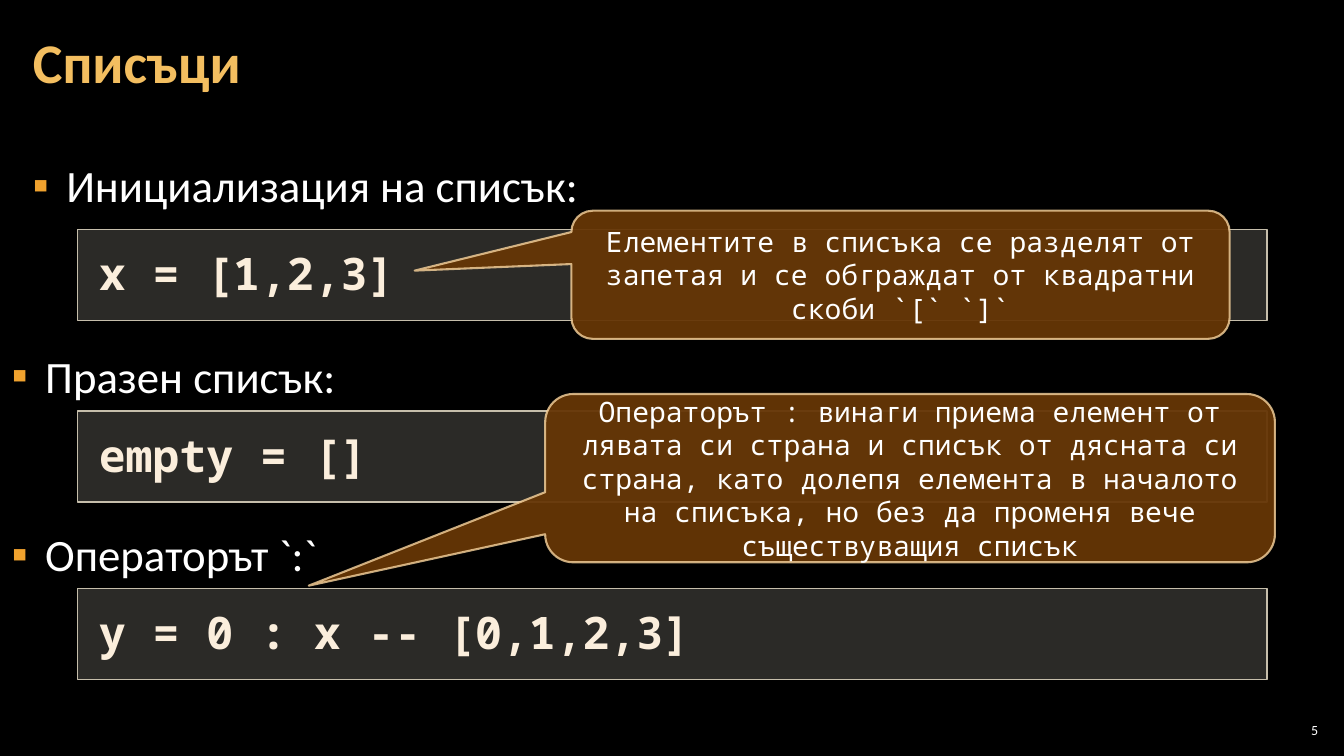
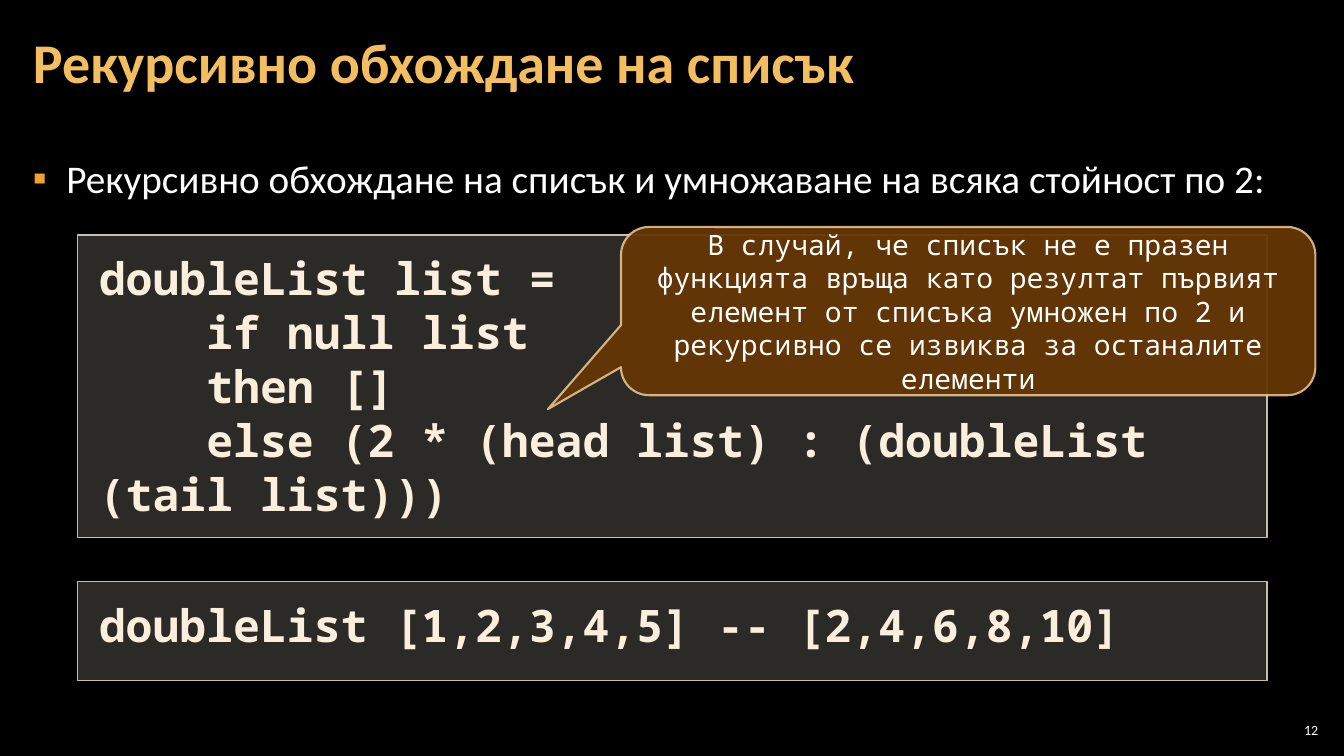
import pptx
import pptx.dml.color
import pptx.enum.shapes
import pptx.enum.text
import pptx.oxml
import pptx.oxml.ns
import pptx.util

Cm = pptx.util.Cm
Pt = pptx.util.Pt
qn = pptx.oxml.ns.qn
ALIGN = pptx.enum.text.PP_ALIGN
ANCHOR = pptx.enum.text.MSO_ANCHOR
SHAPE = pptx.enum.shapes.MSO_SHAPE

COLORS = {
    "background": "000000",
    "title": "F3BE60",
    "text": "FFFFFF",
    "bullet": "F0A22E",
    "code": "FBEEDC",
    "code_fill": "D9D4C6",
    "code_line": "C6BEAB",
    "callout_fill": "663606",
    "callout_line": "F8D49E",
}
TEXT_FONT = "Calibri"
CODE_FONT = "Noto Sans Mono"

TITLE_BOX = (0.53, 0.1, 32.79, 3.07)
BODY_BOX = (0.53, 3.2, 32.79, 15.47)
NUMBER_BOX = (32.13, 18.14, 1.19, 0.53)
CODE_LEFT, CODE_WIDTH = 1.96, 29.97
TEXT_INSET = (0.3, 0.1)
BULLET_INDENT = 0.84


def rgb(name):
    return pptx.dml.color.RGBColor.from_string(COLORS[name])


def place(shape, box):
    shape.left, shape.top, shape.width, shape.height = map(Cm, box)


def add_text_box(slide, box):
    return slide.shapes.add_textbox(*map(Cm, box))


def write(shape, text, size, color, font=TEXT_FONT, bold=False,
          align=ALIGN.LEFT, anchor=ANCHOR.TOP, inset=TEXT_INSET):
    frame = shape.text_frame
    frame.text = text
    frame.word_wrap = True
    frame.auto_size = pptx.enum.text.MSO_AUTO_SIZE.NONE
    frame.vertical_anchor = anchor
    frame.margin_left = frame.margin_right = Cm(inset[0])
    frame.margin_top = frame.margin_bottom = Cm(inset[1])
    for paragraph in frame.paragraphs:
        paragraph.alignment = align
        for run in paragraph.runs:
            run.font.name = font
            run.font.size = Pt(size)
            run.font.bold = bold
            run.font.color.rgb = rgb(color)


def set_opacity(properties, percent):
    color = properties.find(qn("a:solidFill"))[0]
    alpha = pptx.oxml.parse_xml(
        f'<a:alpha {pptx.oxml.ns.nsdecls("a")} val="{percent * 1000}"/>')
    color.append(alpha)


def add_panel(slide, preset, box, fill, fill_opacity, line, line_width):
    panel = slide.shapes.add_shape(preset, *map(Cm, box))
    panel.shadow.inherit = False
    panel.fill.solid()
    panel.fill.fore_color.rgb = rgb(fill)
    panel.line.color.rgb = rgb(line)
    panel.line.width = Pt(line_width)
    set_opacity(panel._element.spPr, fill_opacity)
    return panel


def add_code(slide, top, height, code):
    panel = add_panel(slide, SHAPE.RECTANGLE, (CODE_LEFT, top, CODE_WIDTH, height),
                      "code_fill", 20, "code_line", 1)
    write(panel, code, 32, "code", CODE_FONT, bold=True, inset=(0.53, 0.41))


def add_callout(slide, box, tip, explanation):
    left, top, width, height = box
    callout = add_panel(slide, SHAPE.ROUNDED_RECTANGULAR_CALLOUT, box,
                        "callout_fill", 95, "callout_line", 1.5)
    callout.adjustments[0] = (tip[0] - left) / width - 0.5
    callout.adjustments[1] = (tip[1] - top) / height - 0.5
    set_opacity(callout._element.spPr.find(qn("a:ln")), 80)
    write(callout, explanation, 20, "text", CODE_FONT, align=ALIGN.CENTER,
          anchor=ANCHOR.MIDDLE, inset=(0.33, 0.18))


def write_bullet(shape, text, size):
    write(shape, text, size, "text", align=ALIGN.JUSTIFY)
    paragraph = shape.text_frame.paragraphs[0]
    properties = paragraph._p.get_or_add_pPr()
    properties.set("marL", str(Cm(BULLET_INDENT)))
    properties.set("indent", str(-Cm(BULLET_INDENT)))
    namespace = pptx.oxml.ns.nsdecls("a")
    for element in (
        f'<a:buClr {namespace}><a:srgbClr val="{COLORS["bullet"]}"/></a:buClr>',
        f'<a:buFont {namespace} typeface="{TEXT_FONT}"/>',
        f'<a:buChar {namespace} char="▪"/>',
    ):
        properties.append(pptx.oxml.parse_xml(element))
    paragraph.line_spacing = 1.5
    paragraph.space_before = Pt(0)
    paragraph.space_after = Pt(6)


def add_bullet(slide, top, text):
    write_bullet(add_text_box(slide, (0, top, 31.55, 1.52)), text, 32)


def add_topic_slide(deck, number, title, topic, topic_size):
    slide = deck.slides.add_slide(deck.slide_layouts[1])
    heading, body = slide.shapes.title, slide.placeholders[1]
    place(heading, TITLE_BOX)
    write(heading, title, 40, "title", bold=True, anchor=ANCHOR.MIDDLE)
    heading.text_frame.paragraphs[0].line_spacing = 0.9
    place(body, BODY_BOX)
    write_bullet(body, topic, topic_size)
    write(add_text_box(slide, NUMBER_BOX), str(number), 10, "text",
          align=ALIGN.RIGHT, anchor=ANCHOR.MIDDLE, inset=(0.1, 0.1))
    return slide


def build_lists(deck):
    slide = add_topic_slide(deck, 5, "Списъци", "Инициализация на списък:", 32)
    for top, code in (
        (5.79, "x = [1,2,3]"),
        (10.36, "empty = []"),
        (14.83, "y = 0 : x -- [0,1,2,3]"),
    ):
        add_code(slide, top, 2.29, code)
    add_bullet(slide, 8, "Празен списък:")
    add_bullet(slide, 12.5, "Операторът `:`")
    add_callout(slide, (14.4, 5.31, 16.59, 3.23), (10.45, 6.82),
                "Елементите в списъка се разделят от запетая и се обграждат "
                "от квадратни скоби `[` `]`")
    add_callout(slide, (13.74, 9.93, 18.39, 4.24), (7.78, 14.76),
                "Операторът : винаги приема елемент от лявата си страна и списък "
                "от дясната си страна, като долепя елемента в началото на списъка, "
                "но без да променя вече съществуващия списък")


def build_recursion(deck):
    slide = add_topic_slide(
        deck, 12, "Рекурсивно обхождане на списък",
        "Рекурсивно обхождане на списък и умножаване на всяка стойност по 2:", 28)
    add_code(slide, 5.92, 7.62, "\n".join((
        "doubleList list =",
        "    if null list",
        "    then []",
        "    else (2 * (head list) : (doubleList (tail list)))",
    )))
    add_code(slide, 14.66, 2.49, "doubleList [1,2,3,4,5] -- [2,4,6,8,10]")
    add_callout(slide, (15.65, 5.72, 17.5, 4.24), (13.81, 10.31),
                "В случай, че списък не е празен функцията връща като резултат "
                "първият елемент от списъка умножен по 2 и рекурсивно се извиква "
                "за останалите елементи")


def main():
    deck = pptx.Presentation()
    deck.slide_width, deck.slide_height = Cm(33.87), Cm(19.05)
    backdrop = deck.slide_master.background.fill
    backdrop.solid()
    backdrop.fore_color.rgb = rgb("background")
    build_lists(deck)
    build_recursion(deck)
    deck.save("out.pptx")


if __name__ == "__main__":
    main()
